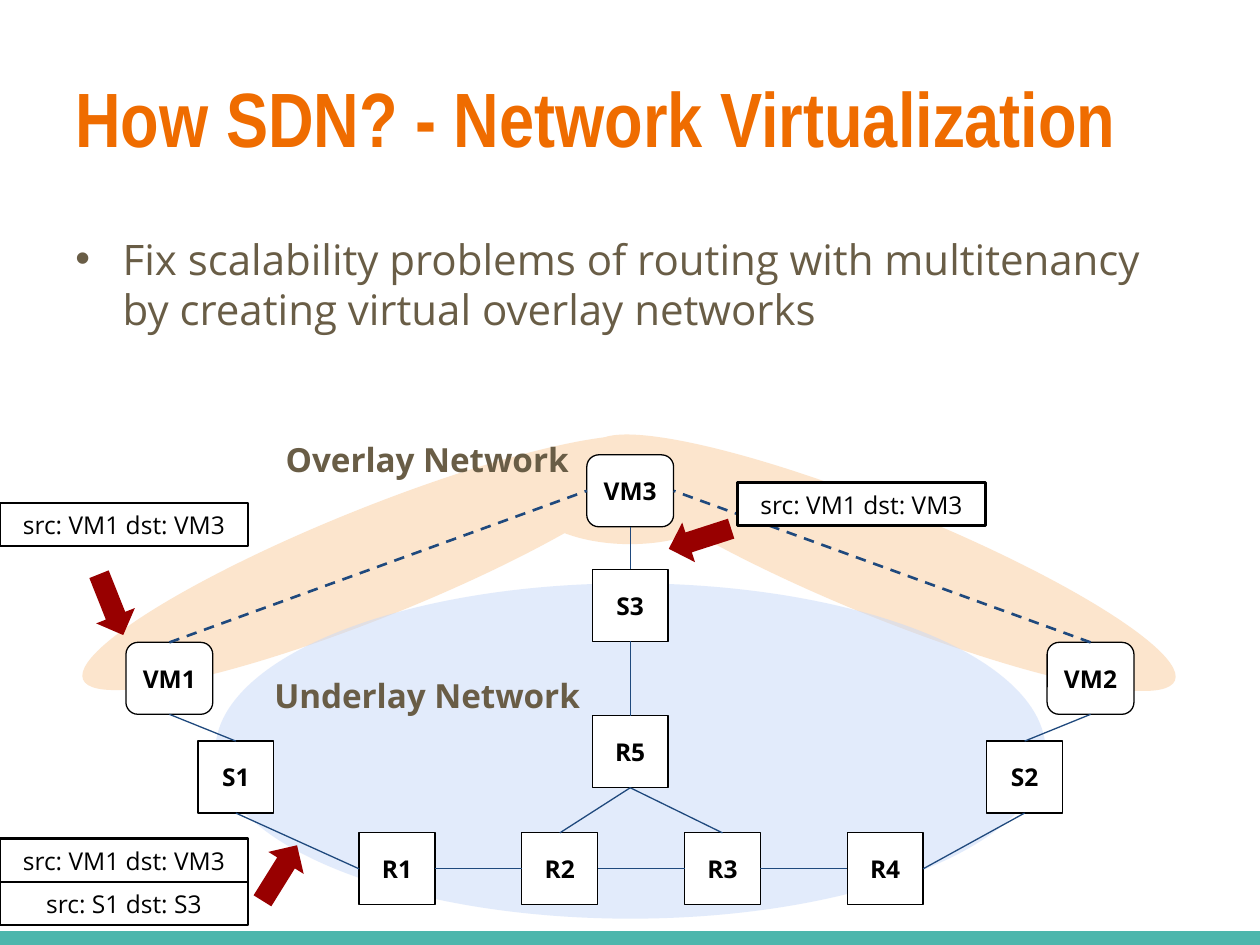
from lxml import etree
from pptx import Presentation
from pptx.dml.color import RGBColor
from pptx.enum import dml, shapes, text
from pptx.oxml import parse_xml
from pptx.oxml.ns import nsdecls, qn
from pptx.util import Cm, Pt

INK, BROWN, BLUE, RED = "000000", "695D46", "1F497D", "980000"
SHAPE = shapes.MSO_SHAPE
rgb = RGBColor.from_string


def add_filled(kind, box, fill, outline=None, turn=0):
    """Add a preset shape; box is left, top, width, height in cm."""
    shape = slide.shapes.add_shape(kind, *map(Cm, box))
    shape.shadow.inherit = False
    shape.rotation = turn
    shape.fill.solid()
    shape.fill.fore_color.rgb = rgb(fill)
    if outline:
        shape.line.color.rgb = rgb(INK)
        shape.line.width = Pt(outline)
    else:
        shape.line.fill.background()
    return shape


def write(shape, words, size, colour=INK, bold=False, font="Open Sans",
          align=text.PP_ALIGN.LEFT, anchor=text.MSO_ANCHOR.TOP):
    frame = shape.text_frame
    frame.word_wrap = True
    frame.auto_size = text.MSO_AUTO_SIZE.NONE
    frame.vertical_anchor = anchor
    frame.margin_left = frame.margin_right = Cm(0.25)
    frame.margin_top = frame.margin_bottom = Cm(0.25)
    frame.text = words
    paragraph = frame.paragraphs[0]
    paragraph.alignment = align
    paragraph.font.name = font
    paragraph.font.size = Pt(size)
    paragraph.font.bold = bold
    paragraph.font.color.rgb = rgb(colour)


prs = Presentation()
prs.slide_width, prs.slide_height = Cm(25.4), Cm(19.05)
slide = prs.slides.add_slide(prs.slide_layouts[1])

# Title and bullet
title, body = slide.placeholders
title.left, title.top, title.width, title.height = Cm(1.27), Cm(0.76), Cm(22.86), Cm(3.18)
write(title, "How SDN? - Network Virtualization", 44, "EF6C00", True,
      "Arial Narrow", anchor=text.MSO_ANCHOR.MIDDLE)

body.left, body.top, body.width, body.height = Cm(1.27), Cm(4.45), Cm(22.86), Cm(7.04)
bullet = body.text_frame.paragraphs[0]
bullet_props = bullet._p.get_or_add_pPr()
bullet_props.set("marL", str(Cm(1.27)))
bullet_props.set("indent", str(-Cm(1.07)))
bullet_props.append(parse_xml(
    f'<a:buClr {nsdecls("a")}><a:srgbClr val="{BROWN}"/></a:buClr>'))
bullet_props.append(parse_xml(f'<a:buChar {nsdecls("a")} char="●"/>'))
write(body, "Fix scalability problems of routing with multitenancy "
      "by creating virtual overlay networks", 24, BROWN)
bullet.space_before = Pt(0)
bullet.line_spacing = 0.87

# Overlay and underlay areas
for box, turn in [((10.54, 8.84, 4.32, 2.13), 0),
                  ((11.53, 10.24, 12.62, 2.21), 22.1),
                  ((1.22, 10.24, 12.62, 2.21), 338.1)]:
    add_filled(SHAPE.OVAL, box, "FCE5CD", turn=turn)
underlay = add_filled(SHAPE.OVAL, (4.34, 11.76, 16.74, 6.76), "C9DAF9")
underlay_colour = underlay.fill._xPr.find(qn("a:solidFill"))[0]
etree.SubElement(underlay_colour, qn("a:alpha"), val="52000")

# Network nodes
places = {f"R{i + 1}": (7.24 + 3.28 * i, 16.79) for i in range(4)}
places.update({
    "S1": (3.99, 14.94), "S2": (19.89, 14.94),
    "R5": (11.94, 14.43), "S3": (11.94, 11.48),
    "VM3": (11.83, 9.17), "VM1": (2.54, 12.95), "VM2": (21.11, 12.95),
})
nodes = {}
for name, place in places.items():
    is_vm = name.startswith("VM")
    kind, width = (SHAPE.ROUNDED_RECTANGLE, 1.75) if is_vm else (SHAPE.RECTANGLE, 1.53)
    nodes[name] = add_filled(kind, (*place, width, 1.45), "FFFFFF", 0.75)
    write(nodes[name], name, 14, bold=True, align=text.PP_ALIGN.CENTER,
          anchor=text.MSO_ANCHOR.MIDDLE)

# Links between nodes, and the footer rule
TOP, LEFT, BOTTOM, RIGHT = range(4)
links = [
    ("R1", RIGHT, "R2", LEFT), ("R2", RIGHT, "R3", LEFT), ("R3", RIGHT, "R4", LEFT),
    ("S1", BOTTOM, "R1", LEFT), ("S2", BOTTOM, "R4", RIGHT),
    ("R5", BOTTOM, "R2", TOP), ("R5", BOTTOM, "R3", TOP),
    ("S3", BOTTOM, "R5", TOP), ("VM3", BOTTOM, "S3", TOP),
    ("VM1", BOTTOM, "S1", TOP), ("VM2", BOTTOM, "S2", TOP),
    ("VM1", TOP, "VM3", LEFT), ("VM2", TOP, "VM3", RIGHT),
]
footer = slide.shapes.add_connector(
    shapes.MSO_CONNECTOR.STRAIGHT, 0, Cm(18.95), Cm(25.4), Cm(18.95))
strokes = [(footer, "4DB6AC", 10)]
for start, start_side, end, end_side in links:
    link = slide.shapes.add_connector(shapes.MSO_CONNECTOR.STRAIGHT, 0, 0, 0, 0)
    link.begin_connect(nodes[start], start_side)
    link.end_connect(nodes[end], end_side)
    is_overlay = start.startswith("VM") and end.startswith("VM")
    if is_overlay:
        link.line.dash_style = dml.MSO_LINE.DASH
    strokes.append((link, BLUE, 1.5 if is_overlay else 0.75))
for stroke, colour, weight in strokes:
    stroke.line.color.rgb = rgb(colour)
    stroke.line.width = Pt(weight)
    etree.SubElement(stroke._element.spPr, qn("a:effectLst"))

# Area labels
for label, left, top in [("Underlay Network", 5.28, 13.36),
                         ("Overlay Network", 5.51, 8.61)]:
    area = slide.shapes.add_textbox(Cm(left), Cm(top), Cm(6.88), Cm(1.12))
    write(area, label, 19, BROWN, True)

# Packet headers and the arrows that place them
for header, left, top in [("src: VM1 dst: VM3", 0, 10.14),
                          ("src: VM1 dst: VM3", 0, 16.91),
                          ("src: S1 dst: S3", 0, 17.78),
                          ("src: VM1 dst: VM3", 14.87, 9.73)]:
    packet = add_filled(SHAPE.RECTANGLE, (left, top, 5, 0.87), "FFFFFF", 1.5)
    write(packet, header, 14, align=text.PP_ALIGN.CENTER, anchor=text.MSO_ANCHOR.MIDDLE)
for left, top, turn in [(1.58, 11.77, 68.3), (4.98, 17.18, 301.9), (13.45, 10.44, 162.1)]:
    add_filled(SHAPE.RIGHT_ARROW, (left, top, 1.32, 0.84), RED, turn=turn)

prs.save("out.pptx")
